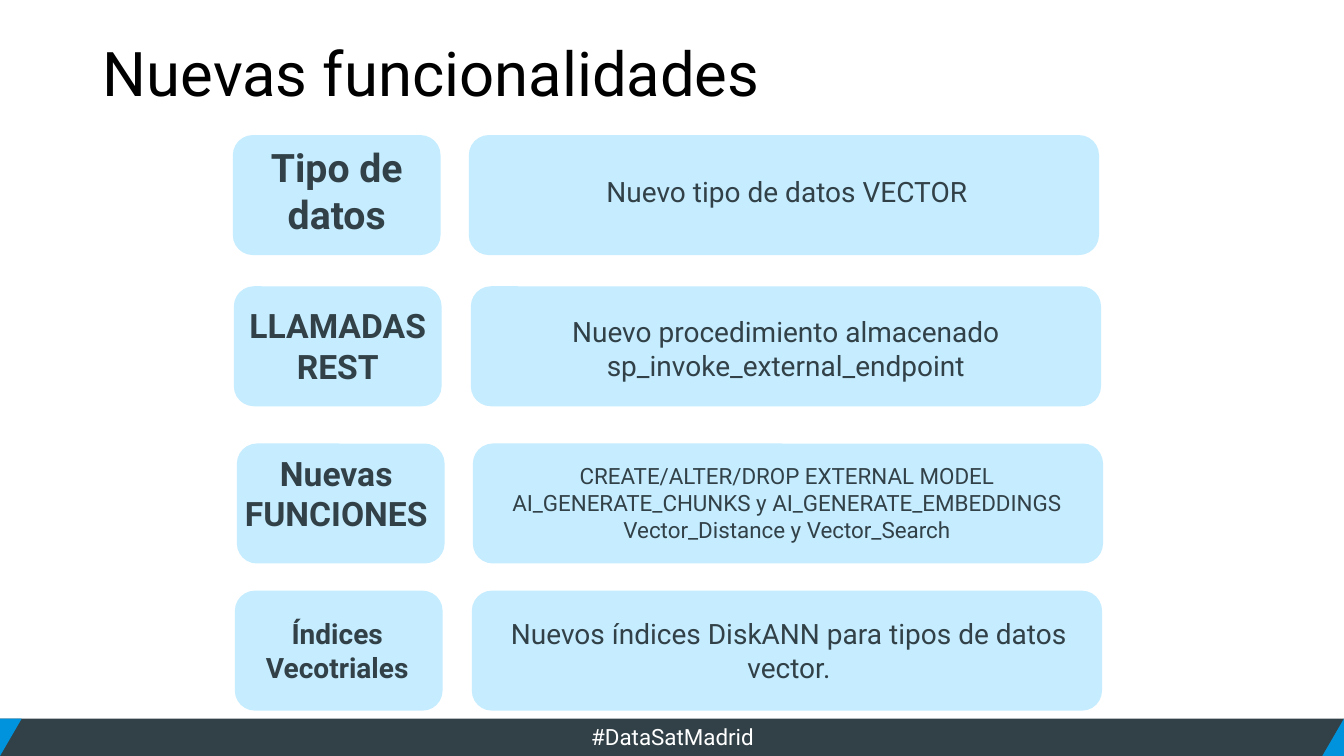
"""Build the slide that lists the new database features."""
from lxml.etree import SubElement
from pptx import Presentation
from pptx.dml.color import RGBColor
from pptx.enum.shapes import MSO_SHAPE as Shape
from pptx.enum.text import MSO_ANCHOR as Anchor, MSO_AUTO_SIZE as AutoSize, PP_ALIGN as Align
from pptx.oxml.ns import qn
from pptx.util import Inches, Pt

FONT = "Roboto"
COLORS = {"ink": "324147", "card": "C5ECFF", "accent": "0093DD", "white": "FFFFFF", "black": "000000"}
TITLE = "Nuevas funcionalidades"
HASHTAG = "#DataSatMadrid"
WIDTH, HEIGHT = 13.33, 7.5
FOOTER_TOP, FOOTER_HEIGHT = 7.13, 0.37
CORNER_WIDTH = 0.43
CARD_HEIGHT, LABEL_WIDTH, DETAIL_WIDTH = 1.19, 2.06, 6.25

FEATURES = [
    {"card": (2.31, 4.65, 1.34),
     "label": (["Tipo de datos"], 28, (2.32, 1.37, 2.04, 1.04)),
     "detail": (["Nuevo tipo de datos VECTOR"], 20, (4.67, 1.68, 6.27, 0.44))},
    {"card": (2.32, 4.67, 2.84),
     "label": (["LLAMADAS REST"], 24, (2.33, 2.98, 2.04, 0.91)),
     "detail": (["Nuevo procedimiento almacenado", "sp_invoke_external_endpoint"], 20,
                (4.66, 3.07, 6.27, 0.77))},
    {"card": (2.35, 4.69, 4.4),
     "label": (["Nuevas", "FUNCIONES"], 24, (2.31, 4.44, 2.05, 0.91)),
     "detail": (["CREATE/ALTER/DROP EXTERNAL MODEL",
                 "AI_GENERATE_CHUNKS y AI_GENERATE_EMBEDDINGS",
                 "Vector_Distance y Vector_Search"], 16, (4.67, 4.54, 6.27, 0.91))},
    {"card": (2.33, 4.68, 5.86),
     "label": (["Índices", "Vecotriales"], 20, (2.32, 6.07, 2.05, 0.77)),
     "detail": (["Nuevos índices DiskANN para tipos de datos vector."], 20,
                (4.69, 6.07, 6.27, 0.77))},
]


def color(name):
    """Return the named colour."""
    return RGBColor.from_string(COLORS[name])


def write(frame, lines, size, ink="ink", bold=False, align=Align.CENTER, spacing=None):
    """Write one paragraph per line in the given format."""
    frame.word_wrap = True
    for index, line in enumerate(lines):
        para = frame.paragraphs[0] if index == 0 else frame.add_paragraph()
        para.alignment = align
        para.line_spacing = spacing
        span = para.add_run()
        span.text = line
        span.font.name = FONT
        span.font.size = Pt(size)
        span.font.bold = bold
        span.font.color.rgb = color(ink)


def add_block(slide, kind, place, fill, rotation=0):
    """Add a flat filled shape without outline."""
    block = slide.shapes.add_shape(kind, *map(Inches, place))
    block.shadow.inherit = False
    block.fill.solid()
    block.fill.fore_color.rgb = color(fill)
    block.line.fill.background()
    block.rotation = rotation


def add_text(slide, lines, size, place, **style):
    """Add a text box that grows with its text."""
    box = slide.shapes.add_textbox(*map(Inches, place))
    write(box.text_frame, lines, size, **style)
    box.text_frame.auto_size = AutoSize.SHAPE_TO_FIT_TEXT


def add_title(slide):
    """Place and format the title."""
    title = slide.shapes.title
    title.left, title.top, title.width, title.height = map(Inches, (0.92, 0.19, 11.5, 1.13))
    title.text_frame.vertical_anchor = Anchor.MIDDLE
    title.text_frame.auto_size = AutoSize.NONE
    write(title.text_frame, [TITLE], 44, ink="black", align=Align.LEFT, spacing=0.9)


def add_footer(slide):
    """Draw the dark footer band with its two corners."""
    add_block(slide, Shape.RECTANGLE, (0, FOOTER_TOP, WIDTH, FOOTER_HEIGHT), "ink")
    add_text(slide, [HASHTAG], 16, (4.51, FOOTER_TOP, 4.32, FOOTER_HEIGHT), ink="white")
    for edge, rotation in ((WIDTH, 0), (0, 180)):
        corner = (edge - CORNER_WIDTH / 2, FOOTER_TOP, CORNER_WIDTH, FOOTER_HEIGHT)
        add_block(slide, Shape.ISOSCELES_TRIANGLE, corner, "accent", rotation)


def main():
    """Build and save the deck."""
    deck = Presentation()
    deck.slide_width, deck.slide_height = Inches(WIDTH), Inches(HEIGHT)
    slide = deck.slides.add_slide(deck.slide_layouts[5])
    add_footer(slide)
    add_title(slide)
    for feature in FEATURES:
        label_left, detail_left, top = feature["card"]
        for left, width in ((label_left, LABEL_WIDTH), (detail_left, DETAIL_WIDTH)):
            add_block(slide, Shape.ROUNDED_RECTANGLE, (left, top, width, CARD_HEIGHT), "card")
        add_text(slide, *feature["label"], bold=True)
        add_text(slide, *feature["detail"])
    deck.save("out.pptx")


if __name__ == "__main__":
    main()
